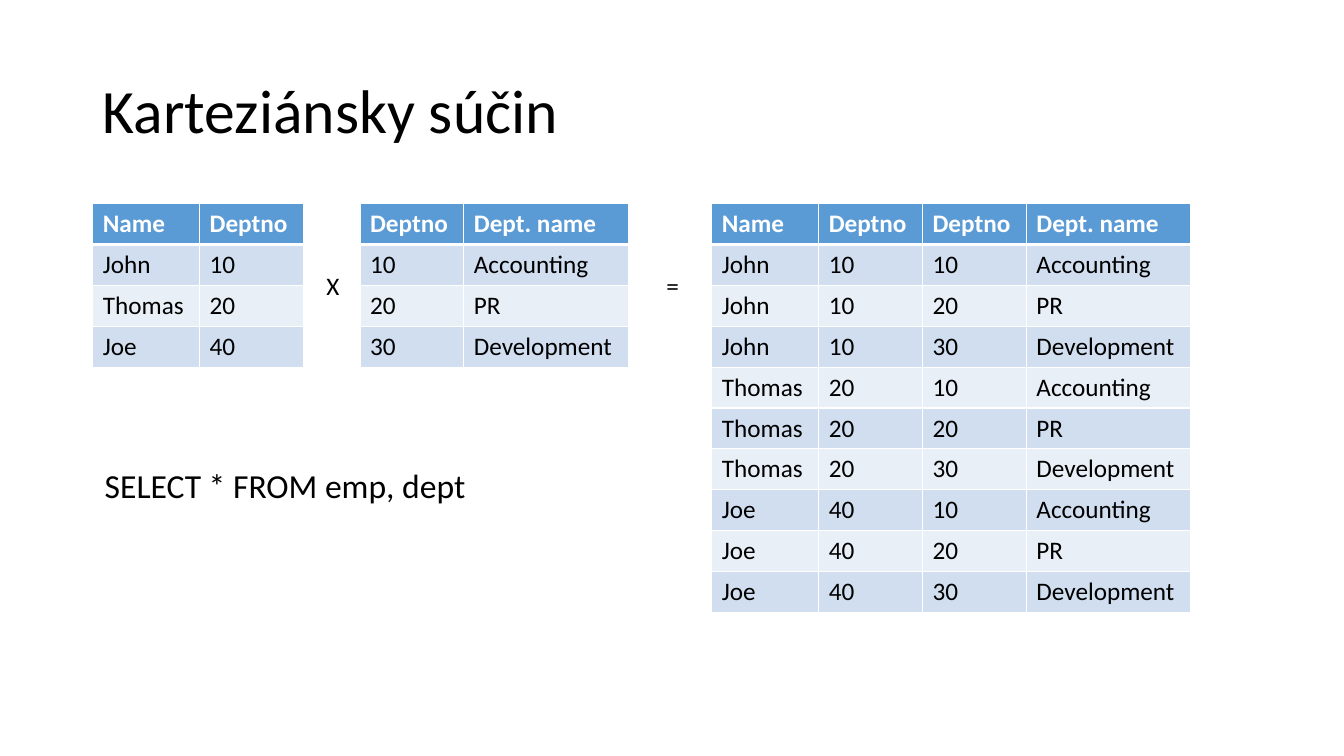
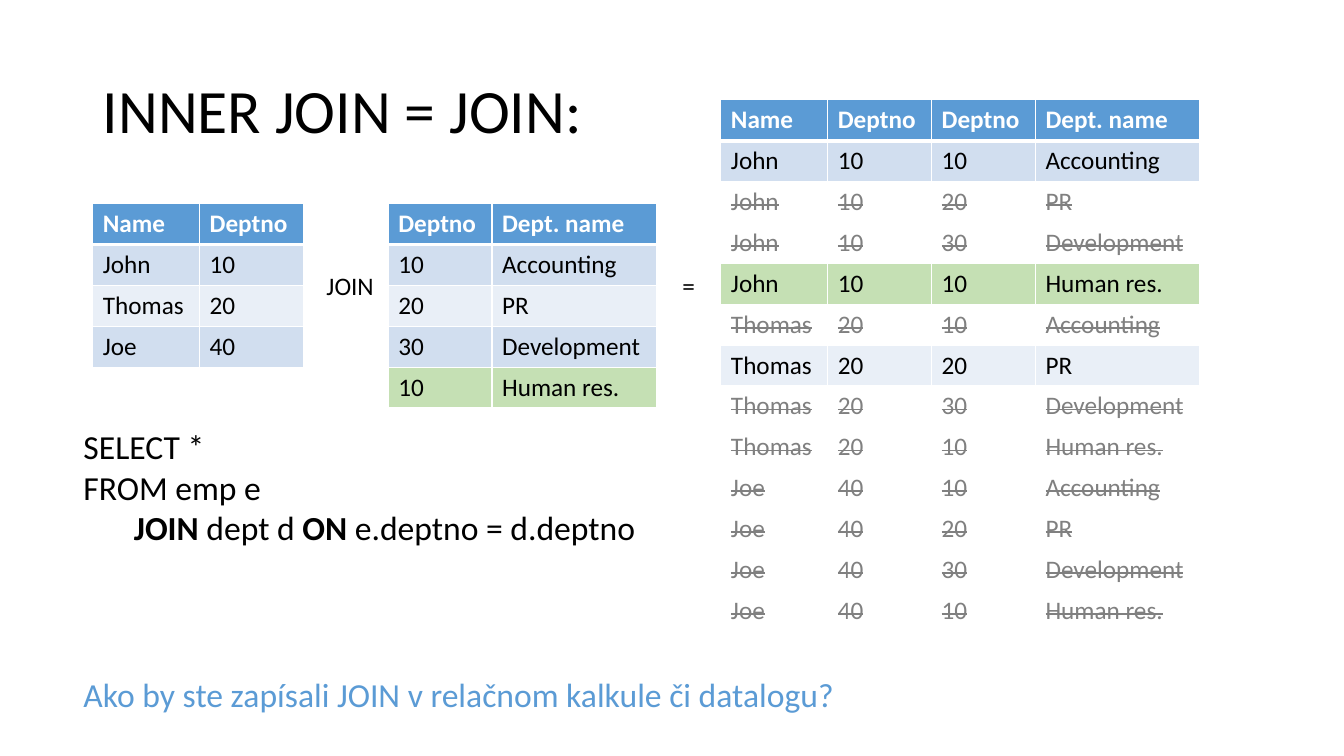
from itertools import product
from lxml.etree import SubElement
from pptx import Presentation
from pptx.dml.color import RGBColor
from pptx.enum.text import MSO_ANCHOR, MSO_AUTO_SIZE, PP_ALIGN
from pptx.oxml.ns import qn
from pptx.util import Inches, Pt

BLUE, BLACK, WHITE, GRAY = "5B9BD5", "000000", "FFFFFF", "808080"
BANDS, GREEN = ["D1DEEF", "E9EFF7"], "C5E0B4"
ROW_H = 1.62 / 4
COL_W = {"Name": 1.06, "Deptno": 1.03, "Dept. name": 1.63}
EMP_HEAD, DEPT_HEAD = ["Name", "Deptno"], ["Deptno", "Dept. name"]
emp = [("John", "10"), ("Thomas", "20"), ("Joe", "40")]
dept = [("10", "Accounting"), ("20", "PR"), ("30", "Development")]
added = ("10", "Human res.")


def write(p, text, size, color, bold=False):
    r = p.add_run()
    r.text = text
    font = {"name": "Calibri", "size": Pt(size), "bold": bold}
    for key, value in font.items():
        setattr(r.font, key, value)
    r.font.color.rgb = RGBColor.from_string(color)
    return r


def add_grid(s, left, top, head, rows, styles):
    frame = s.shapes.add_table(len(rows) + 1, len(head), Inches(left), Inches(top),
                               Inches(sum(COL_W[h] for h in head)),
                               Inches(ROW_H * (len(rows) + 1)))
    table = frame.table
    for column, h in zip(table.columns, head):
        column.width = Inches(COL_W[h])
    for i, values in enumerate([head] + rows):
        fill, color = styles[i - 1] if i else (BLUE, WHITE)
        for j, value in enumerate(values):
            cell = table.cell(i, j)
            tc_pr = cell._tc.get_or_add_tcPr()
            for side in "LRTB":
                thick = (i, side) in [(0, "B"), (1, "T")]
                ln = SubElement(tc_pr, qn("a:ln" + side), w=str(Pt(3 if thick else 0.96)))
                SubElement(SubElement(ln, qn("a:solidFill")), qn("a:srgbClr"), val=WHITE)
            cell.fill.solid()
            cell.fill.fore_color.rgb = RGBColor.from_string(fill)
            r = write(cell.text_frame.paragraphs[0], value, 18, color, i == 0)
            if color == GRAY:
                r.font._element.set("strike", "sngStrike")


slides = [
    {"title": "Karteziánsky súčin", "dept": dept, "dept_left": 3.57,
     "result_at": (7.06, 2.02), "joined": False,
     "texts": [
         (3.14, 2.63, 0.33, 0.4, 18, BLACK, [["X"]]),
         (6.51, 2.63, 0.32, 0.4, 18, BLACK, [["="]]),
         (0.94, 4.56, 3.78, 0.5, 24, BLACK, [["SELECT * FROM emp, dept"]])]},
    {"title": "INNER JOIN = JOIN:", "dept": dept + [added], "dept_left": 3.85,
     "result_at": (7.15, 0.99), "joined": True,
     "texts": [
         (3.14, 2.63, 0.67, 0.4, 18, BLACK, [["JOIN"]]),
         (6.67, 2.63, 0.32, 0.4, 18, BLACK, [["="]]),
         (0.73, 4.18, 6, 1.7, 24, BLACK,
          [["SELECT *"], ["FROM emp e"],
           ["\t", "JOIN", " dept d ", "ON", " e.deptno = d.deptno"]]),
         (0.73, 6.64, 7.64, 0.5, 24, BLUE,
          [["Ako by ste zapísali JOIN v relačnom kalkule či datalogu?"]])]},
]

prs = Presentation()
prs.slide_width, prs.slide_height = Inches(13.33), Inches(7.5)

for data in slides:
    s = prs.slides.add_slide(prs.slide_layouts[5])
    title = s.shapes.title
    place = {"left": 0.92, "top": 0.4, "width": 11.5, "height": 1.45}
    for key, value in place.items():
        setattr(title, key, Inches(value))
    tf = title.text_frame
    tf.auto_size = MSO_AUTO_SIZE.NONE
    tf.vertical_anchor = MSO_ANCHOR.MIDDLE
    p = tf.paragraphs[0]
    p.alignment, p.line_spacing = PP_ALIGN.LEFT, 0.9
    write(p, data["title"], 44, BLACK)

    dept_styles = [(GREEN if d == added else BANDS[i % 2], BLACK)
                   for i, d in enumerate(data["dept"])]
    result, result_styles = [], []
    for i, (e, d) in enumerate(product(emp, data["dept"])):
        result.append(e + d)
        if data["joined"] and e[1] != d[0]:
            result_styles.append((WHITE, GRAY))
        else:
            result_styles.append((GREEN if d == added else BANDS[i % 2], BLACK))
    add_grid(s, 0.92, 2.02, EMP_HEAD, emp, [(BANDS[i % 2], BLACK) for i in range(len(emp))])
    add_grid(s, data["dept_left"], 2.02, DEPT_HEAD, data["dept"], dept_styles)
    add_grid(s, *data["result_at"], EMP_HEAD + DEPT_HEAD, result, result_styles)

    for left, top, width, height, size, color, lines in data["texts"]:
        sp = s.shapes.add_textbox(Inches(left), Inches(top), Inches(width), Inches(height))
        tf = sp.text_frame
        tf.word_wrap = len(lines) > 1
        for i, line in enumerate(lines):
            p = tf.add_paragraph() if i else tf.paragraphs[0]
            for k, text in enumerate(line):
                write(p, text, size, color, k % 2 == 1)

prs.save("out.pptx")
